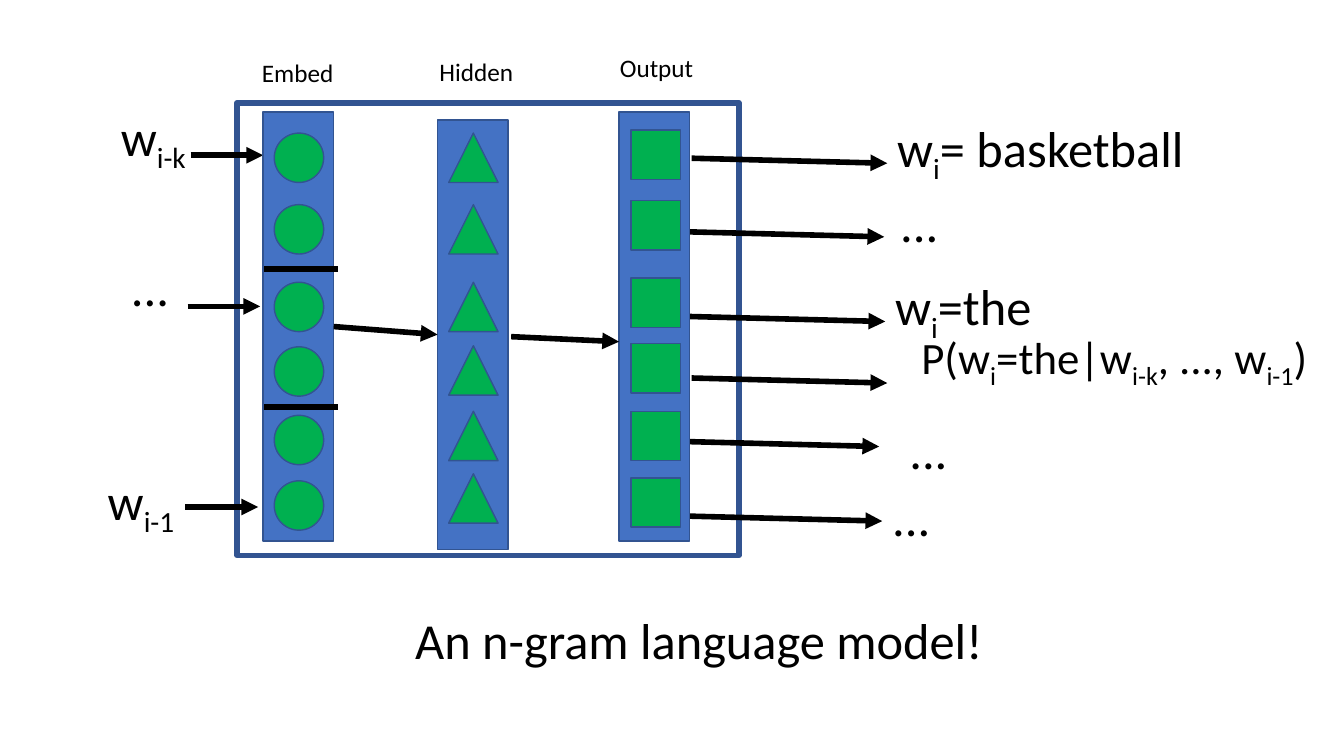
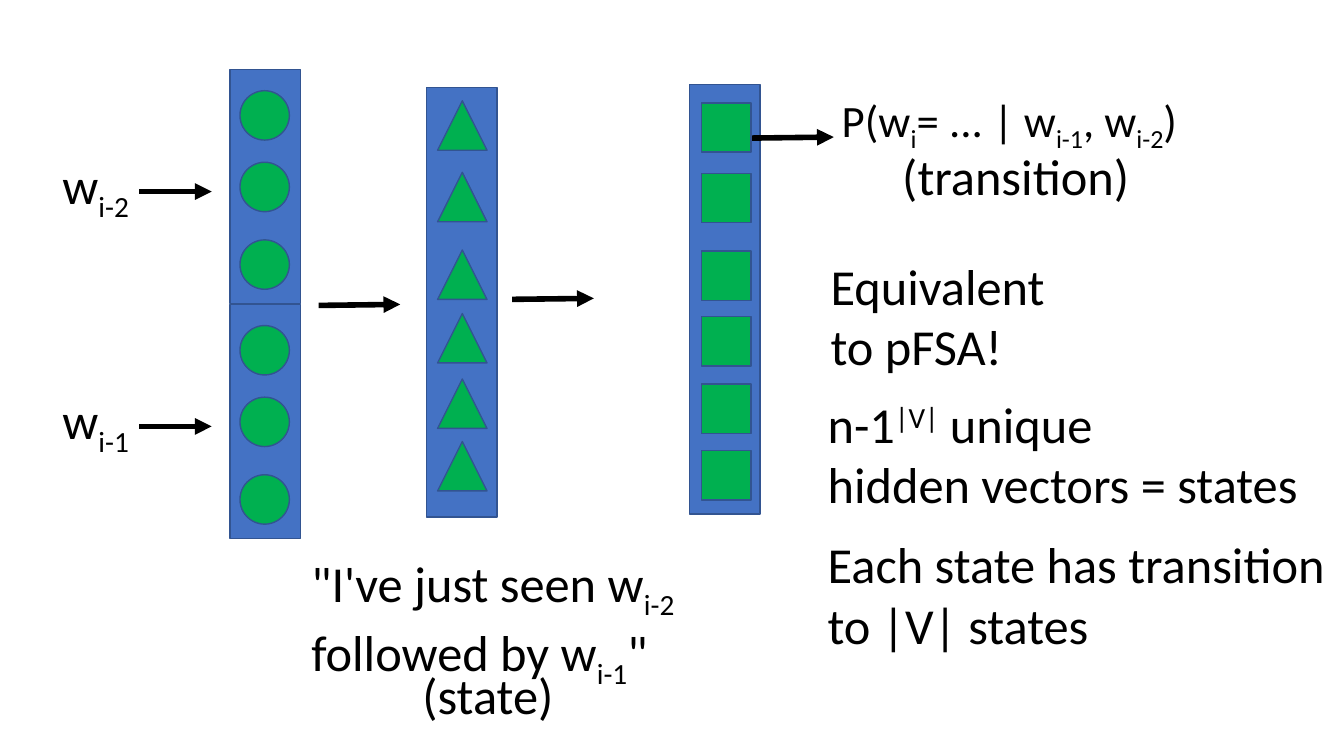
from dataclasses import dataclass

from lxml.etree import SubElement
from pptx import Presentation
from pptx.dml.color import RGBColor as RGB
from pptx.enum.shapes import MSO_CONNECTOR as Connector, MSO_SHAPE as Shape
from pptx.enum.text import MSO_AUTO_SIZE as AutoSize
from pptx.oxml.ns import qn
from pptx.util import Inches, Pt


@dataclass(frozen=True)
class Theme:
    font: str = "Calibri"
    ink: RGB = RGB(0x00, 0x00, 0x00)
    layer: RGB = RGB(0x44, 0x72, 0xC4)
    edge: RGB = RGB(0x32, 0x54, 0x91)
    unit: RGB = RGB(0x00, 0xB0, 0x50)
    body: int = 36
    formula: int = 32
    caption: int = 18
    thick: int = 4
    thin: int = 1


@dataclass(frozen=True)
class Layer:
    unit_shape: Shape
    inset: float
    offsets: tuple


THEME = Theme()
LAYER_WIDTH, LAYER_HEIGHT, UNIT_SIZE = 0.7, 4.26, 0.49
EMBED = Layer(Shape.OVAL, 0.11, (0.21, 0.92, 1.69, 2.33, 3.01, 3.66))
HIDDEN = Layer(Shape.ISOSCELES_TRIANGLE, 0.11, (0.13, 0.84, 1.61, 2.24, 2.89, 3.51))
OUTPUT = Layer(Shape.RECTANGLE, 0.12, (0.18, 0.88, 1.65, 2.3, 2.97, 3.63))
HALF_EMBED = Layer(Shape.OVAL, 0.1, EMBED.offsets[:3])


def sub(text):
    return text, -25000


def sup(text):
    return text, 30000


def add_label(slide, box, *lines, size=THEME.body, wrap=False):
    frame = slide.shapes.add_textbox(*map(Inches, box)).text_frame
    frame.word_wrap = wrap
    frame.auto_size = AutoSize.SHAPE_TO_FIT_TEXT
    for index, line in enumerate(lines):
        paragraph = frame.add_paragraph() if index else frame.paragraphs[0]
        for part in line:
            text, baseline = (part, 0) if isinstance(part, str) else part
            run = paragraph.add_run()
            run.text = text
            run.font.name = THEME.font
            run.font.size = Pt(size)
            run.font.color.rgb = THEME.ink
            if baseline:
                run.font._element.set("baseline", str(baseline))


def add_block(slide, kind, box, fill=None, width=THEME.thin):
    block = slide.shapes.add_shape(kind, *map(Inches, box))
    block.shadow.inherit = False
    if fill is None:
        block.fill.background()
    else:
        block.fill.solid()
        block.fill.fore_color.rgb = fill
    block.line.color.rgb = THEME.edge
    block.line.width = Pt(width)
    return block


def add_stroke(slide, start, end, arrow=True):
    stroke = slide.shapes.add_connector(Connector.STRAIGHT, *map(Inches, start + end))
    stroke.line.color.rgb = THEME.ink
    stroke.line.width = Pt(THEME.thick)
    if arrow:
        SubElement(stroke.line._get_or_add_ln(), qn("a:tailEnd"), type="triangle")
    SubElement(stroke._element.spPr, qn("a:effectLst"))
    return stroke


def add_layer(slide, layer, left, top, height=LAYER_HEIGHT):
    column = add_block(slide, Shape.RECTANGLE, (left, top, LAYER_WIDTH, height), THEME.layer)
    for offset in layer.offsets:
        unit_box = (left + layer.inset, top + offset, UNIT_SIZE, UNIT_SIZE)
        add_block(slide, layer.unit_shape, unit_box, THEME.unit)
    return column


def build_ngram_model(slide):
    add_block(slide, Shape.RECTANGLE, (2.35, 1.02, 4.98, 4.49), width=THEME.thick)

    for x, y in ((1.89, 1.54), (1.86, 3.04), (1.84, 5.03)):
        add_stroke(slide, (x, y), (x + 0.72, y))
    for x, y in ((6.86, 1.57), (6.83, 2.3), (6.84, 3.14),
                 (6.86, 3.75), (6.78, 4.38), (6.81, 5.12)):
        add_stroke(slide, (x, y), (x + 1.94, y + 0.05))

    hidden = add_layer(slide, HIDDEN, 4.34, 1.19)
    add_layer(slide, OUTPUT, 6.14, 1.11)
    embed = add_layer(slide, EMBED, 2.61, 1.11)
    for y in (2.67, 4.04):
        add_stroke(slide, (2.62, y), (3.35, y), arrow=False)
    embed_to_hidden = add_stroke(slide, (3.31, 3.24), (4.34, 3.32))
    embed_to_hidden.begin_connect(embed, 3)
    embed_to_hidden.end_connect(hidden, 1)
    add_stroke(slide, (5.07, 3.34), (6.14, 3.39))

    for name, left, top in (("Embed", 2.5, 0.52), ("Hidden", 4.26, 0.51), ("Output", 6.05, 0.47)):
        add_label(slide, (left, top, 0.94, 0.4), [name], size=THEME.caption)

    add_label(slide, (1.1, 1, 0.9, 0.71), ["w", sub("i-k")])
    add_label(slide, (0.97, 4.61, 0.91, 0.71), ["w", sub("i-1")])
    for left, top in ((1.2, 2.49), (8.83, 1.86), (8.92, 4.11), (8.75, 4.77)):
        add_label(slide, (left, top, 0.59, 0.71), ["..."])
    add_label(slide, (8.8, 1.11, 3.15, 0.71), ["w", sub("i"), "= basketball"], wrap=True)
    add_label(slide, (8.78, 2.68, 1.57, 0.71), ["w", sub("i"), "=the"])
    add_label(slide, (9.04, 3.22, 4.16, 0.64),
              ["P(w", sub("i"), "=the|w", sub("i-k"), ", ..., w", sub("i-1"), ")"],
              size=THEME.formula)
    add_label(slide, (4.02, 5.99, 6.2, 0.71), ["An n-gram language model!"], wrap=True)


def build_state_machine(slide):
    half_height = 2.32
    for word, top in (("i-2", 0.69), ("i-1", 3.02)):
        add_layer(slide, HALF_EMBED, 2.28, top, half_height)
        add_label(slide, (0.52, top + 0.79, 0.91, 0.71), ["w", sub(word)])
        add_stroke(slide, (1.38, top + 1.21), (2.1, top + 1.21))

    add_layer(slide, HIDDEN, 4.23, 0.87)
    add_layer(slide, OUTPUT, 6.84, 0.84)
    for x, y in ((3.16, 3.03), (5.08, 2.97), (7.46, 1.37)):
        add_stroke(slide, (x, y), (x + 0.81, y - 0.01))

    add_label(slide, (2.99, 5.43, 4, 1.31),
              ["\"I've just seen w", sub("i-2")], ["followed by w", sub("i-1"), "\""])
    add_label(slide, (4.09, 6.54, 1.51, 0.71), ["(state)"])
    add_label(slide, (8.25, 0.87, 3.79, 0.64),
              ["P(w", sub("i"), "= ... | w", sub("i-1"), ", w", sub("i-2"), ")"],
              size=THEME.formula, wrap=True)
    add_label(slide, (8.85, 1.39, 2.59, 0.71), ["(transition)"])
    add_label(slide, (8.14, 2.48, 2.34, 1.31), ["Equivalent"], ["to pFSA!"])
    add_label(slide, (8.11, 3.85, 4.91, 1.31),
              ["n-1", sup("|V|"), " unique"], ["hidden vectors = states"])
    add_label(slide, (8.11, 5.24, 5.18, 1.31),
              ["Each state has transition"], ["to |V| states"])


def main():
    deck = Presentation()
    deck.slide_width, deck.slide_height = Inches(13.33), Inches(7.5)
    blank = deck.slide_layouts[6]
    for build in (build_ngram_model, build_state_machine):
        build(deck.slides.add_slide(blank))
    deck.save("out.pptx")


if __name__ == "__main__":
    main()
